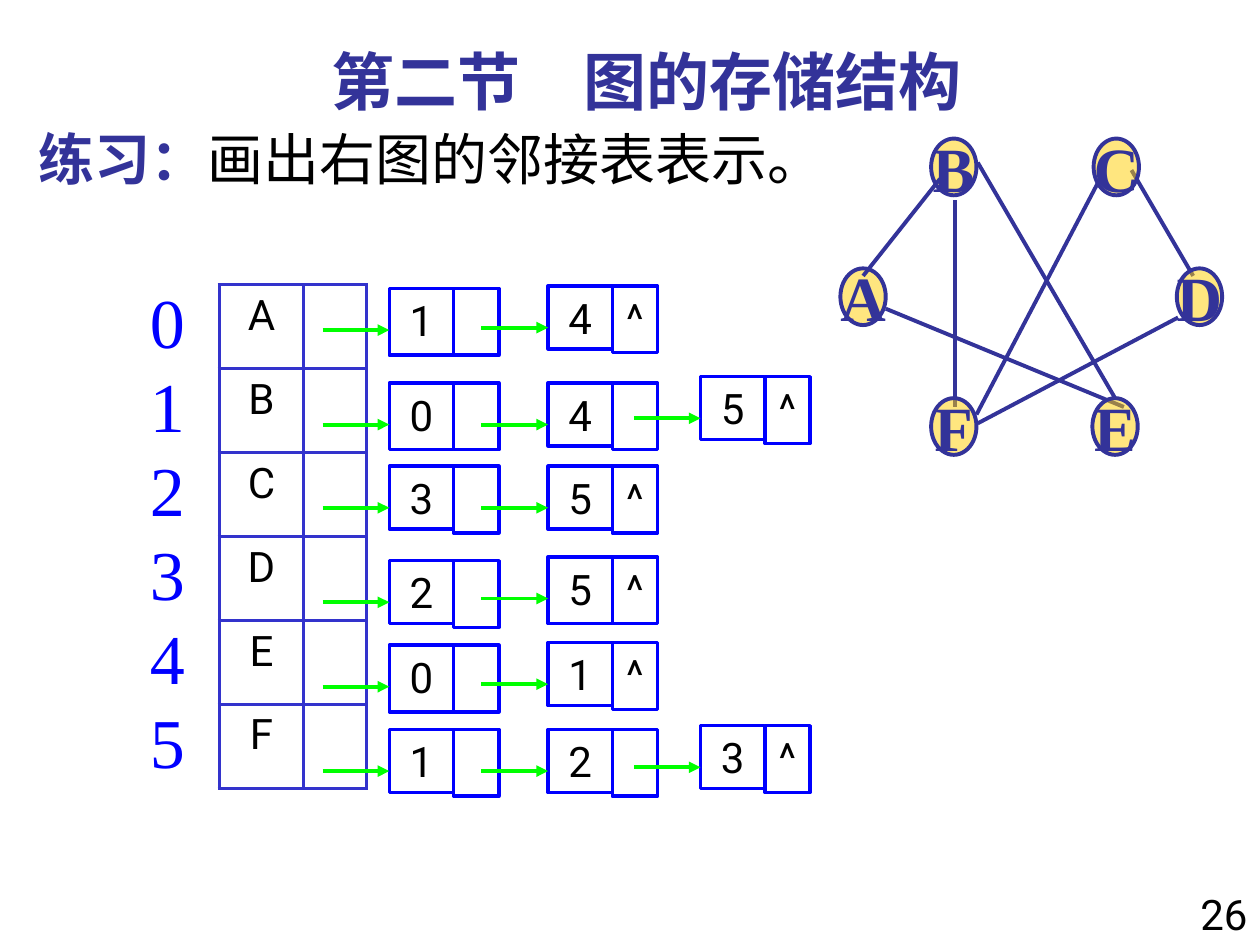
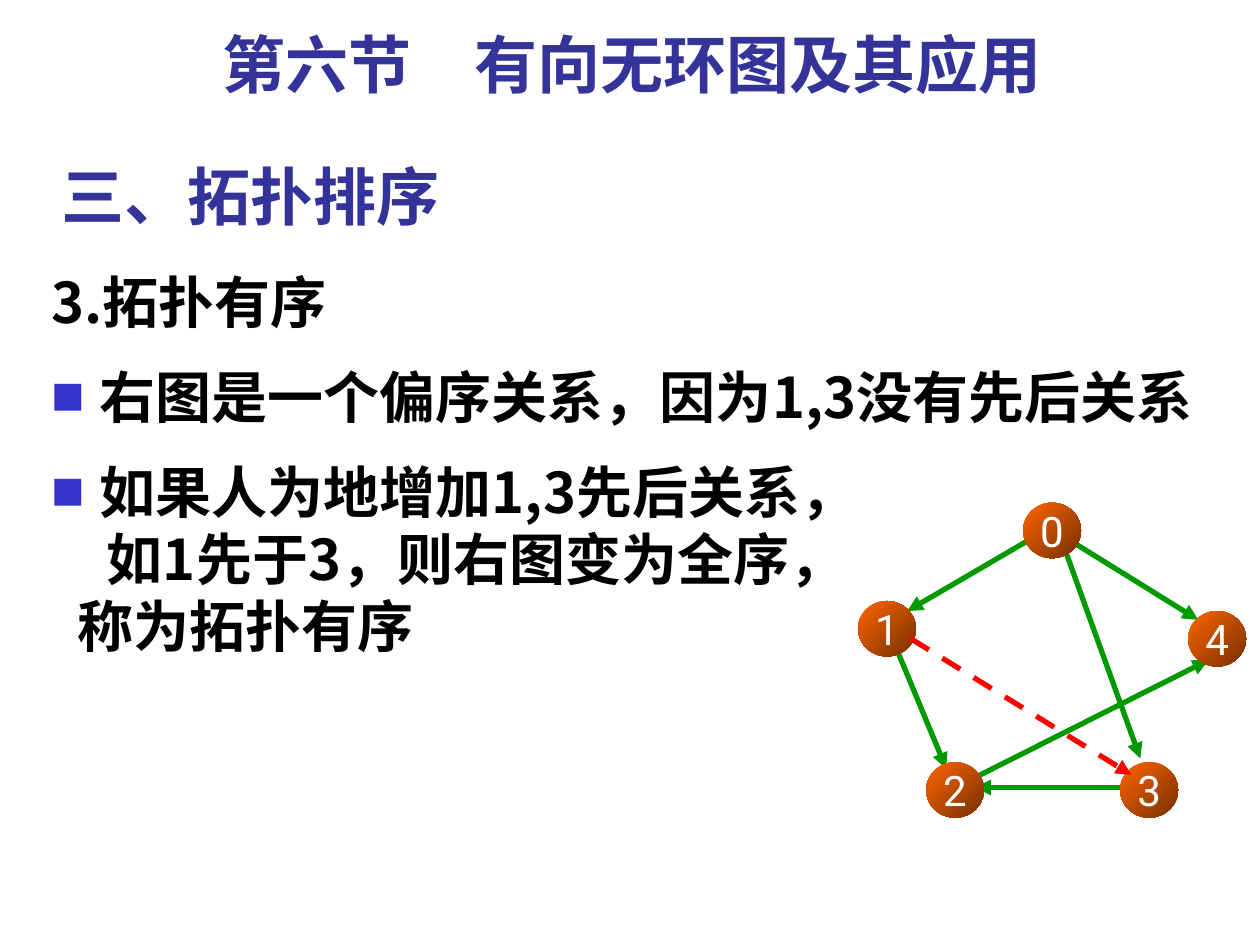
from lxml import etree
from pptx import Presentation
from pptx import util as u
from pptx.dml.color import RGBColor
from pptx.enum import dml, shapes, text
from pptx.oxml.ns import qn

NAVY = RGBColor(0x33, 0x33, 0x99)
GRID_BLUE = RGBColor(0x33, 0x33, 0xCC)
BLUE = RGBColor(0x00, 0x00, 0xFF)
LIME = RGBColor(0x00, 0xFF, 0x00)
GREEN = RGBColor(0x00, 0x99, 0x00)
RED = RGBColor(0xFF, 0x00, 0x00)
GOLD = RGBColor(0xFF, 0xCF, 0x01)
ORANGE = RGBColor(0xFF, 0x66, 0x00)
BROWN = RGBColor(0x76, 0x2F, 0x00)
BLACK = RGBColor(0, 0, 0)
WHITE = RGBColor(255, 255, 255)

SANS, CHINESE, SERIF = "Roboto", "Noto Sans CJK SC", "Times New Roman"
LEFT, CENTER, RIGHT = text.PP_ALIGN.LEFT, text.PP_ALIGN.CENTER, text.PP_ALIGN.RIGHT
TOP, MIDDLE, BOTTOM = text.MSO_ANCHOR.TOP, text.MSO_ANCHOR.MIDDLE, text.MSO_ANCHOR.BOTTOM

TABLE_LEFT, TABLE_TOP, ROW = 1.74, 2.26, 4 / 6
KEY_WIDTH, LINK_WIDTH, NODE_HEIGHT = 0.51, 0.36, 0.53
LINK_REACH, LINK_DROP = 0.53, 0.33
NODE_COLUMNS = (3.09, 4.35, 5.56)
SHORT, TALL = 0.5, NODE_HEIGHT

VERTICES = "ABCDEF"
# each list node: value, top, height of its key cell
CHAINS = [
    [("1", 2.29, TALL), ("4", 2.27, SHORT)],
    [("0", 3.04, TALL), ("4", 3.04, SHORT), ("5", 2.99, SHORT)],
    [("3", 3.7, SHORT), ("5", 3.7, SHORT)],
    [("2", 4.45, SHORT), ("5", 4.42, TALL)],
    [("0", 5.12, TALL), ("1", 5.1, SHORT)],
    [("1", 5.79, SHORT), ("2", 5.79, SHORT), ("3", 5.76, SHORT)],
]

VERTEX_SIZE = (0.36, 0.45)
BACK_VERTICES = {"B": (7.39, 1.1), "A": (6.67, 2.13)}
FRONT_VERTICES = {"C": (8.68, 1.1), "D": (9.34, 2.13),
                  "F": (7.39, 3.16), "E": (8.67, 3.16)}
EDGES = [
    ((7.46, 1.42), (6.85, 2.19)),
    ((7.76, 1.29), (8.85, 3.16)),
    ((7.03, 2.45), (8.92, 3.23)),
    ((8.73, 1.42), (7.75, 3.29)),
    ((8.98, 1.35), (9.47, 2.19)),
    ((9.35, 2.52), (7.76, 3.36)),
    ((7.58, 1.59), (7.58, 3.23)),
]

BALL_SIZE = (0.46, 0.44)
BALLS = {"1": (6.81, 4.77), "3": (8.89, 6.05), "2": (7.35, 6.05),
         "4": (9.43, 4.85), "0": (8.12, 3.99)}
ARCS = [
    ((8.51, 4.3), (9.51, 4.92)),
    ((7.12, 5.16), (7.51, 6.1)),
    ((8.28, 4.22), (7.2, 4.85)),
    ((8.43, 4.3), (9.05, 6.02)),
    ((8.89, 6.25), (7.74, 6.25)),
    ((7.74, 6.17), (9.59, 5.24)),
]
ADDED_ARC = ((7.23, 5.07), (8.98, 6.15))

# text, bulleted, left margin, first-line indent, space before
STATEMENTS = [
    ("3.拓扑有序", False, 0.38, -0.38, 0),
    ("右图是一个偏序关系，因为1,3没有先后关系", True, 0.38, -0.38, 16),
    ("如果人为地增加1,3先后关系，", True, 0.38, -0.38, 16),
    ("如1先于3，则右图变为全序，", False, 0.44, 0, 0),
    ("称为拓扑有序", False, 0.21, 0, 0),
]


def add_element(parent, tag, **attributes):
    return etree.SubElement(parent, qn(tag), attributes)


def style_span(span, size, color, font=SANS, bold=False):
    span.font.size = u.Pt(size)
    span.font.bold = bold
    span.font.name = font
    span.font.color.rgb = color
    add_element(span.font._element, "a:ea", typeface=CHINESE)


def style_frame(frame, size, color, font=SANS, bold=False, align=LEFT):
    for para in frame.paragraphs:
        para.alignment = align
        for span in para.runs:
            style_span(span, size, color, font, bold)


def place(box, left, top, width, height):
    box.left, box.top = u.Inches(left), u.Inches(top)
    box.width, box.height = u.Inches(width), u.Inches(height)


def add_text(page, area, words, size, color, font=SANS, bold=False,
             align=LEFT, anchor=TOP):
    box = page.shapes.add_textbox(*map(u.Inches, area))
    frame = box.text_frame
    frame.word_wrap = True
    frame.vertical_anchor = anchor
    frame.text = words
    style_frame(frame, size, color, font, bold, align)
    return frame


def add_titled_page(deck, heading, left, top):
    page = deck.slides.add_slide(deck.slide_layouts[5])
    title = page.shapes.title
    place(title, left, top, 9.25, 0.7)
    frame = title.text_frame
    frame.auto_size = text.MSO_AUTO_SIZE.NONE
    frame.vertical_anchor = TOP
    frame.text = heading
    style_frame(frame, 36, NAVY, bold=True, align=CENTER)
    return page


def add_line(page, start, end, color, width, arrow=False, dashed=False):
    line = page.shapes.add_connector(
        shapes.MSO_CONNECTOR.STRAIGHT, *map(u.Inches, (*start, *end)))
    line.line.color.rgb = color
    line.line.width = u.Pt(width)
    if dashed:
        line.line.dash_style = dml.MSO_LINE.DASH
    if arrow:
        add_element(line.line._get_or_add_ln(), "a:tailEnd", type="triangle")
    add_element(line._element.spPr, "a:effectLst")


def add_plain_shape(page, preset, area):
    shape = page.shapes.add_shape(preset, *map(u.Inches, area))
    shape.shadow.inherit = False
    return shape


def add_list_cell(page, area, words):
    cell = add_plain_shape(page, shapes.MSO_SHAPE.RECTANGLE, area)
    cell.fill.background()
    cell.line.color.rgb = BLUE
    cell.line.width = u.Pt(2)
    if words:
        frame = cell.text_frame
        frame.vertical_anchor = TOP
        frame.margin_left = frame.margin_right = 0
        frame.text = words
        style_frame(frame, 24, BLACK, align=CENTER)


def add_list_node(page, left, top, value, key_height, is_last):
    """Key cell, link cell and the arrow that leads to them."""
    add_list_cell(page, (left, top, KEY_WIDTH, key_height), value)
    add_list_cell(page, (left + KEY_WIDTH, top, LINK_WIDTH, NODE_HEIGHT),
                  "^" if is_last else "")
    arrow_y = top + LINK_DROP
    add_line(page, (left - LINK_REACH, arrow_y), (left, arrow_y), LIME, 2.25, arrow=True)


def add_cell_borders(cell):
    properties = cell._tc.get_or_add_tcPr()
    for position, side in enumerate(("lnL", "lnR", "lnT", "lnB")):
        border = etree.Element(qn("a:" + side), w=str(u.Pt(2.25)))
        fill = add_element(border, "a:solidFill")
        add_element(fill, "a:srgbClr", val=str(GRID_BLUE))
        properties.insert(position, border)


def add_vertex_table(page):
    widths = (0.67, 0.5)
    area = (TABLE_LEFT, TABLE_TOP, sum(widths), ROW * len(VERTICES))
    table = page.shapes.add_table(len(VERTICES), 2, *map(u.Inches, area)).table
    table.first_row = table.horz_banding = False
    for column, width in zip(table.columns, widths):
        column.width = u.Inches(width)
    for row, vertex in zip(table.rows, VERTICES):
        row.height = u.Inches(ROW)
        row.cells[0].text = vertex
        style_frame(row.cells[0].text_frame, 24, BLACK, align=CENTER)
        for cell in row.cells:
            cell.fill.background()
            add_cell_borders(cell)


def add_round_label(page, position, size, words):
    ellipse = add_plain_shape(page, shapes.MSO_SHAPE.OVAL, (*position, *size))
    frame = ellipse.text_frame
    frame.word_wrap = False
    frame.vertical_anchor = MIDDLE
    frame.text = words
    return ellipse


def add_vertices(page, vertices):
    for name, position in vertices.items():
        vertex = add_round_label(page, position, VERTEX_SIZE, name)
        vertex.fill.solid()
        vertex.fill.fore_color.rgb = GOLD
        color = vertex._element.spPr.find(qn("a:solidFill"))[0]
        add_element(color, "a:alpha", val="50000")
        vertex.line.color.rgb = NAVY
        vertex.line.width = u.Pt(2.25)
        style_frame(vertex.text_frame, 36, NAVY, SERIF, True, CENTER)


def add_balls(page):
    for name, position in BALLS.items():
        ball = add_round_label(page, position, BALL_SIZE, name)
        ball.fill.gradient()
        ball.fill.gradient_angle = 315
        for stop, color, share in zip(ball.fill.gradient_stops, (ORANGE, BROWN), (0, 1)):
            stop.color.rgb = color
            stop.position = share
        ball.line.fill.background()
        ball.text_frame.margin_left = ball.text_frame.margin_right = 0
        style_frame(ball.text_frame, 24, WHITE, align=CENTER)


def add_square_bullet(properties):
    color = add_element(properties, "a:buClr")
    add_element(color, "a:srgbClr", val=str(GRID_BLUE))
    add_element(properties, "a:buSzPct", val="60000")
    add_element(properties, "a:buFont", typeface=CHINESE)
    add_element(properties, "a:buChar", char="■")


def add_statements(page):
    words = "\n".join(statement[0] for statement in STATEMENTS)
    frame = add_text(page, (0.31, 2.07, 9.58, 4.42), words, 32, BLACK, CHINESE, True)
    for para, (_, bulleted, margin, indent, before) in zip(frame.paragraphs, STATEMENTS):
        properties = para._p.get_or_add_pPr()
        properties.set("marL", str(u.Inches(margin)))
        properties.set("indent", str(u.Inches(indent)))
        if before:
            para.space_before = u.Pt(before)
        if bulleted:
            add_square_bullet(properties)


def build_adjacency_page(deck):
    page = add_titled_page(deck, "第二节　图的存储结构", 0.51, 0.29)
    add_text(page, (9.23, 7, 0.77, 0.5), "26", 24, BLACK, align=RIGHT)
    add_vertex_table(page)
    for chain in CHAINS:
        for place_in_chain, (value, top, key_height) in enumerate(chain, 1):
            add_list_node(page, NODE_COLUMNS[place_in_chain - 1], top, value,
                          key_height, place_in_chain == len(chain))

    task = add_text(page, (0.21, 0.82, 9.29, 0.75), "练习：", 32, NAVY,
                    CHINESE, True, anchor=BOTTOM)
    span = task.paragraphs[0].add_run()
    span.text = "画出右图的邻接表表示。"
    style_span(span, 32, BLACK, CHINESE)

    add_vertices(page, BACK_VERTICES)
    for start, end in EDGES:
        add_line(page, start, end, NAVY, 2.25)
    add_vertices(page, FRONT_VERTICES)

    indices = "\n".join(str(index) for index in range(len(VERTICES)))
    frame = add_text(page, (1.09, 2.16, 5.42, 4.14), indices, 40, BLUE, SERIF)
    for para in frame.paragraphs:
        para.line_spacing = u.Inches(ROW)


def build_topology_page(deck):
    page = add_titled_page(deck, "第六节　有向无环图及其应用", 0.39, 0.15)
    add_text(page, (0.39, 1.15, 9.5, 0.75), "三、拓扑排序", 36, NAVY,
             CHINESE, True, anchor=BOTTOM)
    add_statements(page)
    for start, end in ARCS:
        add_line(page, start, end, GREEN, 3, arrow=True)
    add_balls(page)
    add_line(page, *ADDED_ARC, RED, 3, arrow=True, dashed=True)


def main():
    deck = Presentation()
    deck.slide_width, deck.slide_height = u.Inches(10), u.Inches(7.5)
    build_adjacency_page(deck)
    build_topology_page(deck)
    deck.save("out.pptx")


if __name__ == "__main__":
    main()
